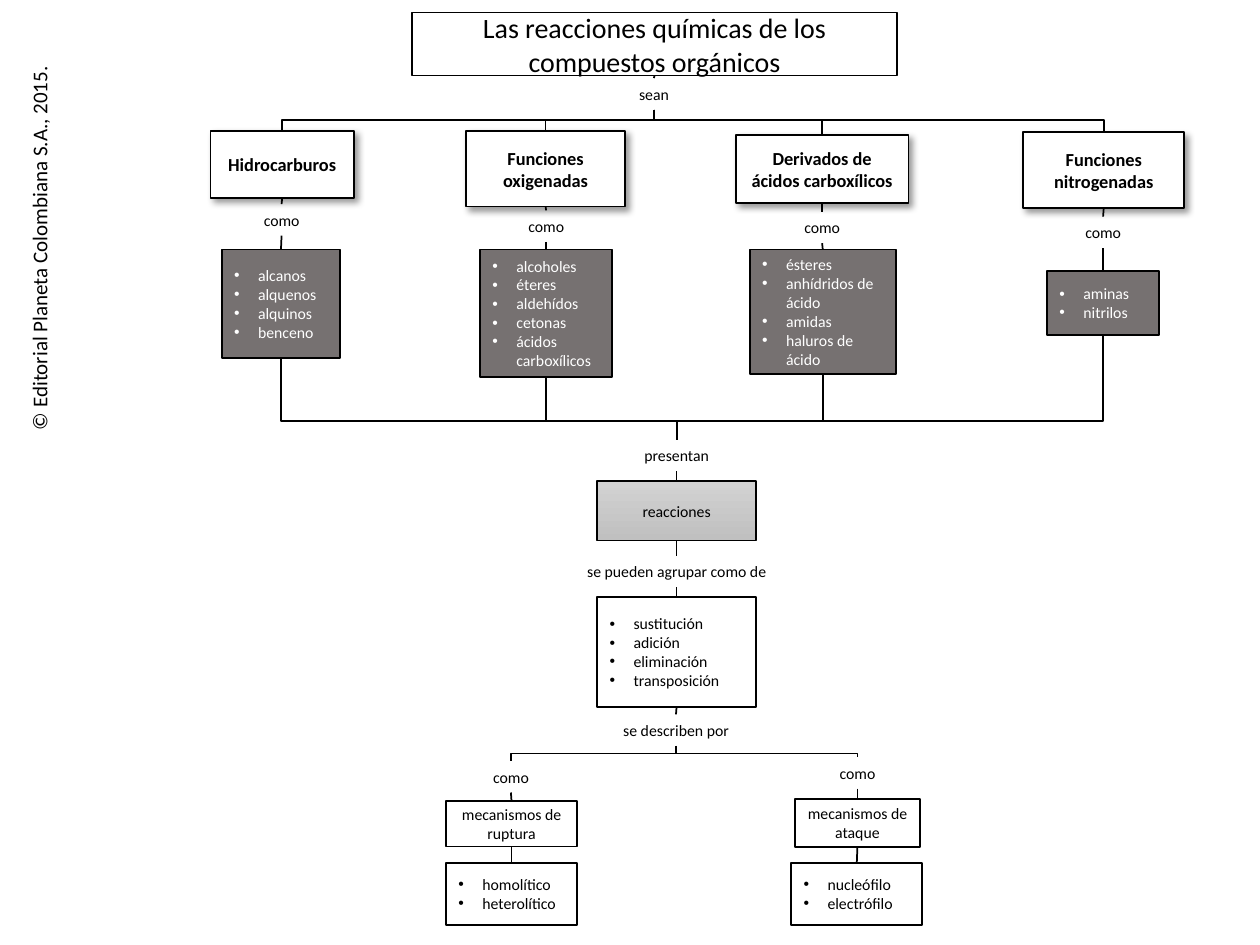
"""Concept map of the chemical reactions of organic compounds."""
from lxml import etree
from pptx import Presentation, util as u
from pptx.dml.color import RGBColor
from pptx.enum import shapes as kinds, text
from pptx.oxml import ns

color = RGBColor.from_string


def write(shape, lines, size=9, ink="000000", bold=False, bullets=False, wrap=True):
    frame = shape.text_frame
    settings = {
        "word_wrap": wrap,
        "auto_size": text.MSO_AUTO_SIZE.NONE if wrap else text.MSO_AUTO_SIZE.SHAPE_TO_FIT_TEXT,
        "vertical_anchor": text.MSO_ANCHOR.MIDDLE if wrap else text.MSO_ANCHOR.TOP,
        "margin_left": u.Inches(0.1), "margin_right": u.Inches(0.1),
        "margin_top": u.Inches(0.05), "margin_bottom": u.Inches(0.05),
    }
    for name, value in settings.items():
        setattr(frame, name, value)
    frame.text = "\n".join(lines)
    for paragraph in frame.paragraphs:
        paragraph.alignment = text.PP_ALIGN.LEFT if bullets else text.PP_ALIGN.CENTER
        if bullets:
            properties = paragraph._p.get_or_add_pPr()
            properties.set("marL", str(u.Inches(0.19)))
            properties.set("indent", str(-u.Inches(0.19)))
            etree.SubElement(properties, ns.qn("a:buFont"), typeface="Arial")
            etree.SubElement(properties, ns.qn("a:buChar"), char="•")
        for run in paragraph.runs:
            for name, value in {"name": "Calibri", "size": u.Pt(size), "bold": bold}.items():
                setattr(run.font, name, value)
            run.font.color.rgb = color(ink)


def add_line(kind, start, end):
    connector = slide.shapes.add_connector(kind, *start, *end)
    connector.line.color.rgb = color("000000")
    connector.line.width = u.Pt(1)
    etree.SubElement(connector._element.spPr, ns.qn("a:effectLst"))
    return connector


presentation = Presentation()
presentation.slide_width, presentation.slide_height = u.Inches(10), u.Inches(7.5)
slide = presentation.slides.add_slide(presentation.slide_layouts[5])

title = slide.shapes.title
for name, value in zip(("left", "top", "width", "height"), (3.27, 0.1, 3.85, 0.5)):
    setattr(title, name, u.Inches(value))
title.fill.solid()
title.fill.fore_color.rgb = color("FFFFFF")
title.line.color.rgb = color("000000")
title.line.width = u.Pt(1)
write(title, ["Las reacciones químicas de los compuestos orgánicos"], 16)
nodes = {"title": title}

labels = {
    "copyright": ((-1.25, 1.82, 3.12, 0.3), "© Editorial Planeta Colombiana S.A., 2015."),
    "be": ((4.97, 0.62, 0.44, 0.25), "sean"),
    "as hydrocarbons": ((1.99, 1.62, 0.49, 0.25), "como"),
    "as oxygen": ((4.09, 1.67, 0.49, 0.25), "como"),
    "as derivatives": ((6.28, 1.68, 0.49, 0.25), "como"),
    "as nitrogen": ((8.51, 1.72, 0.49, 0.25), "como"),
    "show": ((5.01, 3.49, 0.72, 0.25), "presentan"),
    "group": ((4.55, 4.41, 1.64, 0.25), "se pueden agrupar como de"),
    "describe": ((4.84, 5.67, 1.05, 0.25), "se describen por"),
    "as rupture": ((3.81, 6.04, 0.49, 0.25), "como"),
    "as attack": ((6.56, 6.01, 0.49, 0.25), "como"),
}
for key, (place, wording) in labels.items():
    nodes[key] = slide.shapes.add_textbox(*map(u.Inches, place))
    write(nodes[key], [wording], 12 if key == "copyright" else 9, wrap=False)
nodes["copyright"].rotation = 270

heading = {"size": 10.5, "bold": True}
dark = {"ink": "FFFFFF", "bullets": True}
light = {"bullets": True}
boxes = {
    "hydrocarbons": ((1.67, 1.04, 1.14, 0.53), ["Hidrocarburos"], heading),
    "oxygen": ((3.7, 1.04, 1.26, 0.6), ["Funciones oxigenadas"], heading),
    "derivatives": ((5.84, 1.07, 1.37, 0.54), ["Derivados de ácidos carboxílicos"], heading),
    "nitrogen": ((8.12, 1.05, 1.28, 0.6), ["Funciones nitrogenadas"], heading),
    "hydrocarbons list": ((1.76, 1.98, 0.94, 0.86),
                          ["alcanos", "alquenos", "alquinos", "benceno"], dark),
    "oxygen list": ((3.81, 1.98, 1.05, 1.01),
                    ["alcoholes", "éteres", "aldehídos", "cetonas", "ácidos carboxílicos"], dark),
    "derivatives list": ((5.95, 1.98, 1.16, 0.99),
                         ["ésteres", "anhídridos de ácido", "amidas", "haluros de ácido"], dark),
    "nitrogen list": ((8.31, 2.15, 0.89, 0.51), ["aminas", "nitrilos"], dark),
    "reactions": ((4.74, 3.82, 1.26, 0.47), ["reacciones"], {}),
    "reactions list": ((4.74, 4.74, 1.26, 0.87),
                       ["sustitución", "adición", "eliminación", "transposición"], light),
    "rupture": ((3.54, 6.36, 1.04, 0.36), ["mecanismos de ruptura"], {}),
    "attack": ((6.31, 6.34, 0.99, 0.38), ["mecanismos de ataque"], {}),
    "rupture list": ((3.54, 6.85, 1.04, 0.49), ["homolítico", "heterolítico"], light),
    "attack list": ((6.28, 6.85, 1.04, 0.49), ["nucleófilo", "electrófilo"], light),
}
for key, (place, lines, look) in boxes.items():
    shape = nodes[key] = slide.shapes.add_shape(kinds.MSO_SHAPE.RECTANGLE, *map(u.Inches, place))
    shape.shadow.inherit = False
    shape.line.color.rgb = color("000000")
    shape.line.width = u.Pt(1)
    if key == "reactions":
        shape.fill.gradient()
        shape.fill.gradient_angle = 270
        for stop, tone in zip(shape.fill.gradient_stops, ("D2D2D2", "C0C0C0")):
            stop.color.rgb = color(tone)
    else:
        shape.fill.solid()
        shape.fill.fore_color.rgb = color("767171" if look is dark else "FFFFFF")
    if look is heading:
        effects = shape._element.spPr.find(ns.qn("a:effectLst"))
        shadow = etree.SubElement(effects, ns.qn("a:outerShdw"), blurRad=str(u.Pt(4)),
                                  dist=str(u.Pt(3)), dir="2700000", algn="tl", rotWithShape="0")
        black = etree.SubElement(shadow, ns.qn("a:srgbClr"), val="000000")
        etree.SubElement(black, ns.qn("a:alpha"), val="40000")
    write(shape, lines, **look)

families = ["hydrocarbons", "oxygen", "derivatives", "nitrogen"]
mechanisms = ["rupture", "attack"]
links = [("title", "be"), ("show", "reactions"), ("reactions", "group"),
         ("group", "reactions list"), ("reactions list", "describe")]
for family in families:
    links += [(family, f"as {family}"), (f"as {family}", f"{family} list")]
for mechanism in mechanisms:
    links += [(f"as {mechanism}", mechanism), (mechanism, f"{mechanism} list")]
for upper, lower in links:
    connector = add_line(kinds.MSO_CONNECTOR.STRAIGHT, (0, 0), (0, 0))
    connector.begin_connect(nodes[upper], 2)
    connector.end_connect(nodes[lower], 0)

branches = [("be", family, 0.95) for family in families]
branches += [(f"{family} list", "show", 3.34) for family in families]
branches += [("describe", f"as {mechanism}", 5.98) for mechanism in mechanisms]
for upper, lower, bend in branches:
    source, target = nodes[upper], nodes[lower]
    x1, y1 = source.left + source.width // 2, source.top + source.height
    x2, y2 = target.left + target.width // 2, target.top
    across, down = abs(x2 - x1), y2 - y1
    left, top = (x1 + x2 - down) // 2, (y1 + y2 - across) // 2
    connector = add_line(kinds.MSO_CONNECTOR.ELBOW, (left, top), (left + down, top + across))
    frame = connector._element.spPr.find(ns.qn("a:xfrm"))
    frame.set("rot", "16200000" if x2 > x1 else "5400000")
    if x2 > x1:
        frame.set("flipH", "1")
    geometry = connector._element.spPr.find(ns.qn("a:prstGeom"))
    adjustments = geometry.find(ns.qn("a:avLst"))
    ratio = round((u.Inches(bend) - y1) / down * 100000)
    etree.SubElement(adjustments, ns.qn("a:gd"), name="adj1", fmla=f"val {ratio}")

presentation.save("out.pptx")
